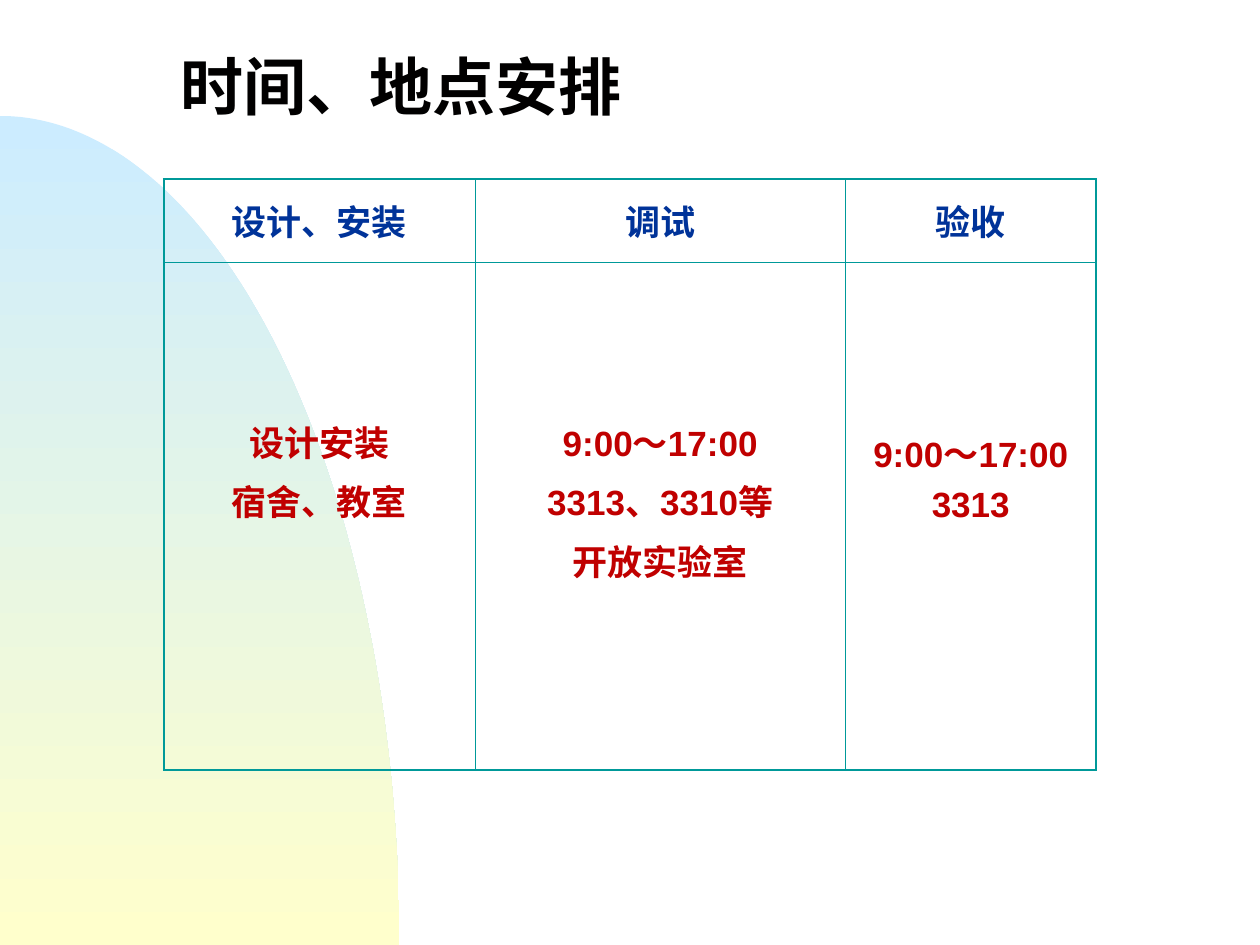
import math
from dataclasses import dataclass

import lxml.etree
import pptx
import pptx.dml.color
import pptx.enum.dml
import pptx.enum.text
import pptx.oxml.ns
import pptx.util

Pt = pptx.util.Pt
Color = pptx.dml.color.RGBColor.from_string
Align = pptx.enum.text.PP_ALIGN
Anchor = pptx.enum.text.MSO_ANCHOR


@dataclass(frozen=True)
class Theme:
    title: str = "010000"
    header: str = "003399"
    body: str = "C00000"
    border: str = "009999"
    arc_top: str = "CCECFF"
    arc_bottom: str = "FFFFCC"
    title_font: str = "Arial Narrow"
    body_font: str = "Arial"
    title_size: int = 36
    body_size: int = 20
    outer_line: float = 1.08
    inner_line: float = 0.45


def write_text(frame, text, *, font, size, color, align=None, before=0, spacing=None):
    for index, line in enumerate(text.split("\n")):
        para = frame.paragraphs[0] if index == 0 else frame.add_paragraph()
        para.alignment = align
        para.space_before = Pt(before)
        para.line_spacing = spacing
        span = para.add_run()
        span.text = line
        span.font.name = font
        span.font.size = Pt(size)
        span.font.bold = True
        span.font.color.rgb = Color(color)


class SlideBuilder:
    def __init__(self, page, theme):
        self.page = page
        self.theme = theme

    def quarter_ellipse(self, top, width, height, steps=90):
        angles = [math.pi / 2 * step / steps for step in range(steps + 1)]
        curve = [
            (Pt(width * math.sin(angle)), Pt(top + height * (1 - math.cos(angle))))
            for angle in angles
        ]
        builder = self.page.shapes.build_freeform(*curve[0])
        builder.add_line_segments(curve[1:] + [(0, Pt(top + height))], close=True)
        arc = builder.convert_to_shape()
        arc.shadow.inherit = False
        arc.line.fill.background()
        arc.fill.gradient()
        arc.fill.gradient_angle = 270
        colors = (self.theme.arc_top, self.theme.arc_bottom)
        for stop, position, color in zip(arc.fill.gradient_stops, (0, 1), colors):
            stop.position = position
            stop.color.rgb = Color(color)

    def title(self, text, left, top, width, height):
        box = self.page.shapes.title
        box.left, box.top, box.width, box.height = map(Pt, (left, top, width, height))
        frame = box.text_frame
        frame.word_wrap = True
        frame.auto_size = pptx.enum.text.MSO_AUTO_SIZE.NONE
        frame.vertical_anchor = Anchor.MIDDLE
        write_text(frame, text, font=self.theme.title_font, size=self.theme.title_size,
                   color=self.theme.title, align=Align.LEFT, spacing=0.7)
        box.element.getparent().append(box.element)

    def border(self, cell, side, width):
        qn = pptx.oxml.ns.qn
        properties = cell._tc.get_or_add_tcPr()
        line = lxml.etree.SubElement(properties, qn(f"a:ln{side}"), w=str(Pt(width)))
        fill = lxml.etree.SubElement(line, qn("a:solidFill"))
        lxml.etree.SubElement(fill, qn("a:srgbClr"), val=self.theme.border)

    def table(self, rows, left, top, widths, heights, body_insets):
        theme = self.theme
        table = self.page.shapes.add_table(
            len(rows), len(widths), Pt(left), Pt(top), Pt(sum(widths)), Pt(sum(heights))
        ).table
        table.first_row = table.horz_banding = False
        for column, width in zip(table.columns, widths):
            column.width = Pt(width)
        for row, height in zip(table.rows, heights):
            row.height = Pt(height)
        last_row, last_column = len(rows) - 1, len(widths) - 1
        for row, texts in enumerate(rows):
            for column, text in enumerate(texts):
                cell = table.cell(row, column)
                outer = {"L": column == 0, "R": column == last_column,
                         "T": row == 0, "B": row == last_row}
                for side, is_outer in outer.items():
                    self.border(cell, side, theme.outer_line if is_outer else theme.inner_line)
                cell.fill.background()
                cell.vertical_anchor = Anchor.TOP if row else Anchor.MIDDLE
                if row:
                    cell.margin_top = Pt(body_insets[column])
                write_text(cell.text_frame, text, font=theme.body_font, size=theme.body_size,
                           color=theme.body if row else theme.header,
                           align=Align.CENTER, before=5)


def main():
    deck = pptx.Presentation()
    deck.slide_width, deck.slide_height = Pt(720), Pt(540)
    page = deck.slides.add_slide(deck.slide_layouts[5])
    builder = SlideBuilder(page, Theme())
    builder.quarter_ellipse(top=66.24, width=228.24, height=473.76)
    builder.table(
        [
            ["设计、安装", "调试", "验收"],
            ["设计安装\n宿舍、教室", "9:00～17:00\n3313、3310等\n开放实验室", "9:00～17:00\n3313"],
        ],
        left=93.6, top=102.24, widths=[177.84, 211.68, 143.28],
        heights=[47.52, 290.16], body_insets=[87.6, 87.6, 94],
    )
    builder.title("时间、地点安排", left=95.76, top=18, width=581.76, height=72)
    deck.save("out.pptx")


if __name__ == "__main__":
    main()
